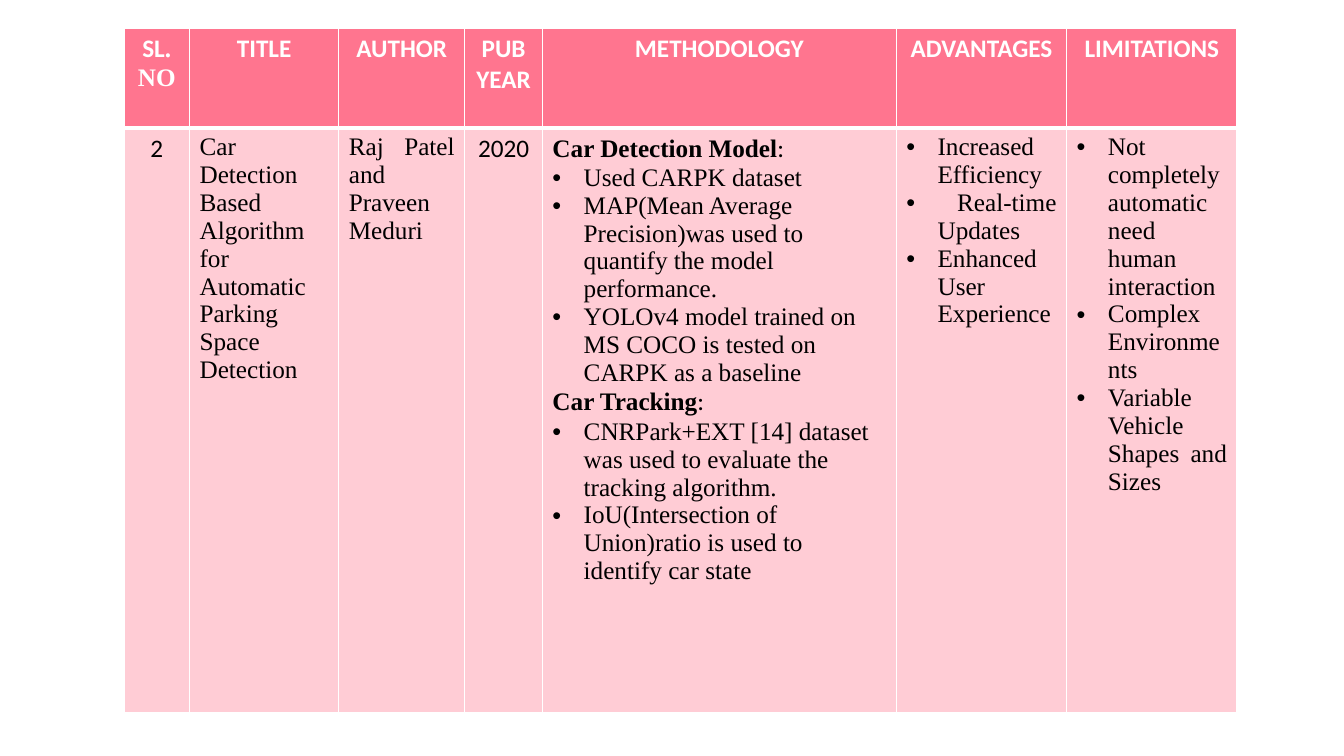
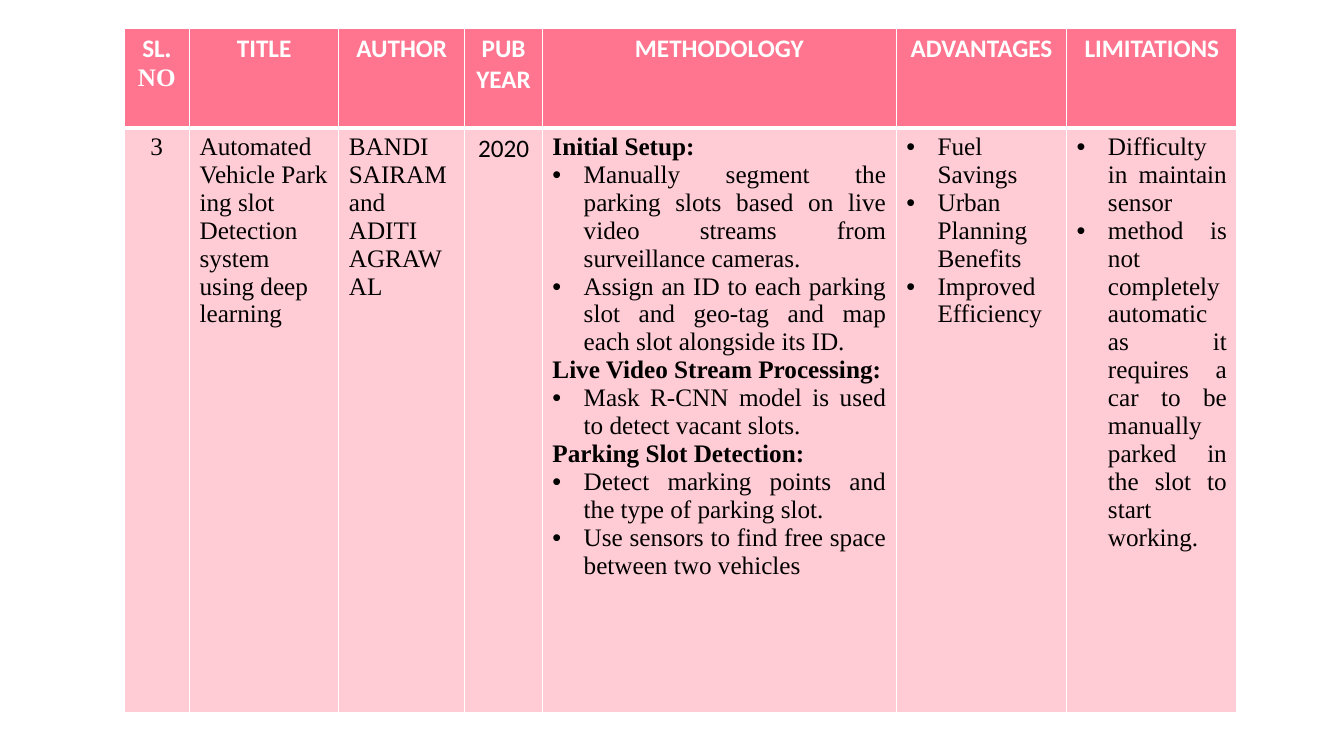
import pptx
import pptx.util
import pptx.dml.color
import pptx.enum.text
import pptx.oxml
import pptx.oxml.ns
from dataclasses import dataclass

Inches, Pt = pptx.util.Inches, pptx.util.Pt
ALIGN = pptx.enum.text.PP_ALIGN
NBSP = chr(160)


@dataclass(frozen=True)
class Theme:
    header_fill: str = "FF758F"
    body_fill: str = "FFCCD5"
    header_text: str = "FFFFFF"
    body_text: str = "000000"
    border: str = "FFFFFF"
    sans: str = "Calibri"
    serif: str = "Times New Roman"
    size: int = 18
    thin: int = 1
    thick: int = 3
    indent: float = 0.31


THEME = Theme()

# Table grid, in inches
LEFT, TOP = 1.23, 0.28
COLS = [0.65, 1.48, 1.25, 0.77, 3.51, 1.69, 1.69]
ROWS = [0.99, 5.8]


# Paragraph content: runs are (text, font, bold)
@dataclass
class Para:
    runs: list
    align: ALIGN = ALIGN.JUSTIFY
    bullet: bool = False


def plain(*lines, font=THEME.serif, align=ALIGN.JUSTIFY):
    return [Para([(line, font, False)], align) for line in lines]


def centred(text, font=THEME.sans):
    return plain(text, font=font, align=ALIGN.CENTER)


def bullets(*lines, align=ALIGN.JUSTIFY):
    return [Para([(line, THEME.serif, False)], align, True) for line in lines]


def heading(text, tail=""):
    runs = [(text, THEME.serif, True)]
    if tail:
        runs.append((tail, THEME.sans, False))
    return [Para(runs)]


def header(*runs):
    return [Para([(text, font, True) for text, font in runs], ALIGN.CENTER)]


# Text
def add_run(p, text, *, font, color, bold=False, size=THEME.size):
    r = p.add_run()
    r.text = text
    r.font.name = font
    r.font.size = Pt(size)
    r.font.bold = bold
    r.font.color.rgb = pptx.dml.color.RGBColor.from_string(color)
    return r


def add_bullet(p):
    pPr = p._p.get_or_add_pPr()
    indent = Inches(THEME.indent)
    pPr.set("marL", str(indent))
    pPr.set("indent", str(-indent))
    ns = pptx.oxml.ns.nsdecls("a")
    pPr.append(pptx.oxml.parse_xml(f'<a:buFont {ns} typeface="Arial"/>'))
    pPr.append(pptx.oxml.parse_xml(f'<a:buChar {ns} char="•"/>'))


# Cells
def set_borders(cell, **widths):
    tcPr = cell._tc.get_or_add_tcPr()
    for side in "LRTB":
        width = Pt(widths.get(side, THEME.thin))
        tcPr.append(pptx.oxml.parse_xml(
            f'<a:ln{side} {pptx.oxml.ns.nsdecls("a")} w="{width}">'
            f'<a:solidFill><a:srgbClr val="{THEME.border}"/></a:solidFill>'
            f'</a:ln{side}>'))


def fill_cell(cell, paras, *, fill, color, **borders):
    set_borders(cell, **borders)
    cell.fill.solid()
    cell.fill.fore_color.rgb = pptx.dml.color.RGBColor.from_string(fill)
    tf = cell.text_frame
    for i, para in enumerate(paras):
        p = tf.add_paragraph() if i else tf.paragraphs[0]
        p.alignment = para.align
        if para.bullet:
            add_bullet(p)
        for text, font, bold in para.runs:
            add_run(p, text, font=font, color=color, bold=bold)


HEADERS = [header(("SL", THEME.sans), (".NO", THEME.serif))] + [
    header((name, THEME.sans)) for name in
    ("TITLE", "AUTHOR", "PUB YEAR", "METHODOLOGY", "ADVANTAGES", "LIMITATIONS")]


# One survey slide: header row and one paper
def add_survey_slide(prs, paper):
    s = prs.slides.add_slide(prs.slide_layouts[6])
    table = s.shapes.add_table(
        len(ROWS), len(COLS), Inches(LEFT), Inches(TOP),
        Inches(sum(COLS)), Inches(sum(ROWS))).table
    table.horz_banding = False
    for col, width in zip(table.columns, COLS):
        col.width = Inches(width)
    for row, height in zip(table.rows, ROWS):
        row.height = Inches(height)
    for i, (title, content) in enumerate(zip(HEADERS, paper)):
        fill_cell(table.cell(0, i), title, fill=THEME.header_fill,
                  color=THEME.header_text, B=THEME.thick)
        fill_cell(table.cell(1, i), content, fill=THEME.body_fill,
                  color=THEME.body_text, T=THEME.thick)


CAR_DETECTION = [
    centred("2"),
    plain("Car Detection Based Algorithm for Automatic Parking Space Detection"),
    plain("Raj Patel and Praveen Meduri"),
    centred("2020"),
    heading("Car Detection Model", ":")
    + bullets("Used CARPK dataset",
              "MAP(Mean Average Precision)was used to quantify the model performance.",
              "YOLOv4 model trained on MS COCO is tested on CARPK as a baseline",
              align=ALIGN.LEFT)
    + heading("Car Tracking", ":")
    + bullets("CNRPark+EXT [14] dataset was used to evaluate the tracking algorithm.",
              "IoU(Intersection of Union)ratio is used to identify car state",
              align=ALIGN.LEFT),
    bullets("Increased Efficiency", " Real-time Updates", "Enhanced User Experience"),
    bullets("Not completely automatic need human interaction",
            "Complex Environments", "Variable Vehicle Shapes and Sizes"),
]

SLOT_DETECTION = [
    centred("3", font=THEME.serif),
    plain(NBSP.join(["Automated Vehicle", "Parking", "slot", ""]),
          NBSP.join(["Detection", " system"]),
          NBSP.join(["using", "deep", " learning"])),
    plain("BANDI SAIRAM", "and", "ADITI AGRAWAL"),
    centred("2020"),
    heading("Initial Setup:")
    + bullets("Manually segment the parking slots based on live video streams "
              "from surveillance cameras.",
              "Assign an ID to each parking slot and geo-tag and map each slot "
              "alongside its ID.")
    + heading("Live Video Stream Processing:")
    + bullets("Mask R-CNN model is used to detect vacant slots.")
    + heading("Parking Slot Detection:")
    + bullets("Detect marking points and the type of parking slot.",
              "Use sensors to find free space between two vehicles"),
    bullets("Fuel Savings", "Urban Planning Benefits", "Improved Efficiency"),
    bullets("Difficulty in maintain sensor",
            "method is not completely automatic as it requires a car to be "
            "manually parked in the slot to start working."),
]


def main():
    prs = pptx.Presentation()
    prs.slide_width, prs.slide_height = Inches(13.33), Inches(7.5)
    for paper in (CAR_DETECTION, SLOT_DETECTION):
        add_survey_slide(prs, paper)
    prs.save("out.pptx")


if __name__ == "__main__":
    main()
